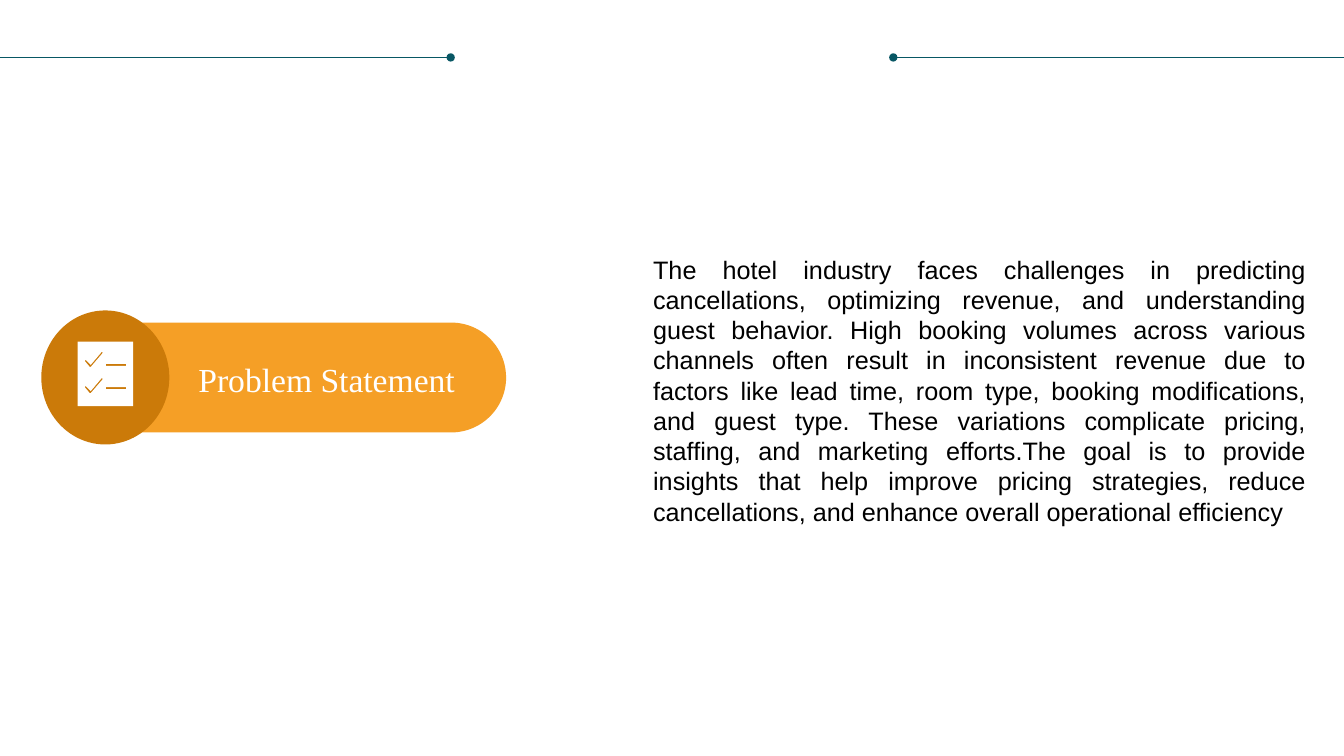
from pptx import Presentation
from pptx.util import Inches, Pt
from pptx.dml.color import RGBColor
from pptx.enum.shapes import MSO_SHAPE, MSO_CONNECTOR
from pptx.enum.text import PP_ALIGN, MSO_ANCHOR
from lxml.etree import SubElement
from pptx.oxml.ns import qn

# Content
TITLE = "Problem Statement"
BODY = (
    "The hotel industry faces challenges in predicting cancellations, "
    "optimizing revenue, and understanding guest behavior. High booking "
    "volumes across various channels often result in inconsistent revenue "
    "due to factors like lead time, room type, booking modifications, and "
    "guest type. These variations complicate pricing, staffing, and "
    "marketing efforts.The goal is to provide insights that help improve "
    "pricing strategies, reduce cancellations, and enhance overall "
    "operational efficiency"
)
COLORS = {"teal": "085764", "orange": "F59F26", "brown": "CB7A09",
          "white": "FFFFFF", "black": "000000"}
WIDTH, HEIGHT = 13.33, 7.5
RULE_Y, RULE_LEN = 0.57, 4.47

# Checklist icon in hundredths of an inch, the marks are holes in the sheet
SHEET = [(77, 339), (132, 339), (132, 403), (77, 403)]
DASH = [(105, 361), (125, 361), (125, 363), (105, 363)]
TICK = [(84, 358), (85, 357), (90, 362), (101, 349),
        (102, 350), (90, 364), (89, 364)]
DASH_GAP, TICK_GAP = 23, 26


def color(name):
    return RGBColor.from_string(COLORS[name])


def paint(shape, name):
    shape.shadow.inherit = False
    shape.fill.solid()
    shape.fill.fore_color.rgb = color(name)
    shape.line.fill.background()


def write(frame, text, font, size, name, align):
    frame.word_wrap = True
    frame.text = text
    para = frame.paragraphs[0]
    para.alignment = align
    run = para.runs[0]
    run.font.name = font
    run.font.size = Pt(size)
    run.font.color.rgb = color(name)


def lower(points, gap):
    return [(x, y + gap) for x, y in points]


def main():
    deck = Presentation()
    deck.slide_width, deck.slide_height = Inches(WIDTH), Inches(HEIGHT)
    slide = deck.slides.add_slide(deck.slide_layouts[6])
    shapes = slide.shapes

    # Top rules, each running from the slide edge to a dot
    for edge, dot in ((WIDTH, WIDTH - RULE_LEN), (0, RULE_LEN)):
        rule = shapes.add_connector(
            MSO_CONNECTOR.STRAIGHT, Inches(min(edge, dot)), Inches(RULE_Y),
            Inches(max(edge, dot)), Inches(RULE_Y))
        rule.line.color.rgb = color("teal")
        rule.line.width = Pt(0.5)
        end = "a:headEnd" if dot < edge else "a:tailEnd"
        SubElement(rule.line._get_or_add_ln(), qn(end), type="oval")
        SubElement(rule._element.spPr, qn("a:effectLst"))

    # Title pill, its text centred right of the badge
    pill = shapes.add_shape(MSO_SHAPE.ROUNDED_RECTANGLE, Inches(0.55),
                            Inches(3.2), Inches(4.47), Inches(1.09))
    pill.adjustments[0] = 0.5
    paint(pill, "orange")
    frame = pill.text_frame
    frame.margin_left = Inches(1.01)
    frame.margin_top = Inches(0.07)
    frame.vertical_anchor = MSO_ANCHOR.MIDDLE
    write(frame, TITLE, "Times New Roman", 24, "white", PP_ALIGN.CENTER)

    # Badge with checklist
    badge = shapes.add_shape(MSO_SHAPE.OVAL, Inches(0.41), Inches(3.08),
                             Inches(1.27), Inches(1.33))
    paint(badge, "brown")
    holes = [DASH, lower(DASH, DASH_GAP), TICK, lower(TICK, TICK_GAP)]
    pen = shapes.build_freeform(*SHEET[0], scale=Inches(0.01))
    pen.add_line_segments(SHEET[1:], close=True)
    for hole in holes:
        pen.move_to(*hole[0])
        pen.add_line_segments(hole[1:], close=True)
    paint(pen.convert_to_shape(), "white")

    # Body text
    box = shapes.add_textbox(Inches(6.38), Inches(2.47),
                             Inches(6.67), Inches(3.13))
    write(box.text_frame, BODY, "Arial", 18, "black", PP_ALIGN.JUSTIFY)

    deck.save("out.pptx")


if __name__ == "__main__":
    main()
